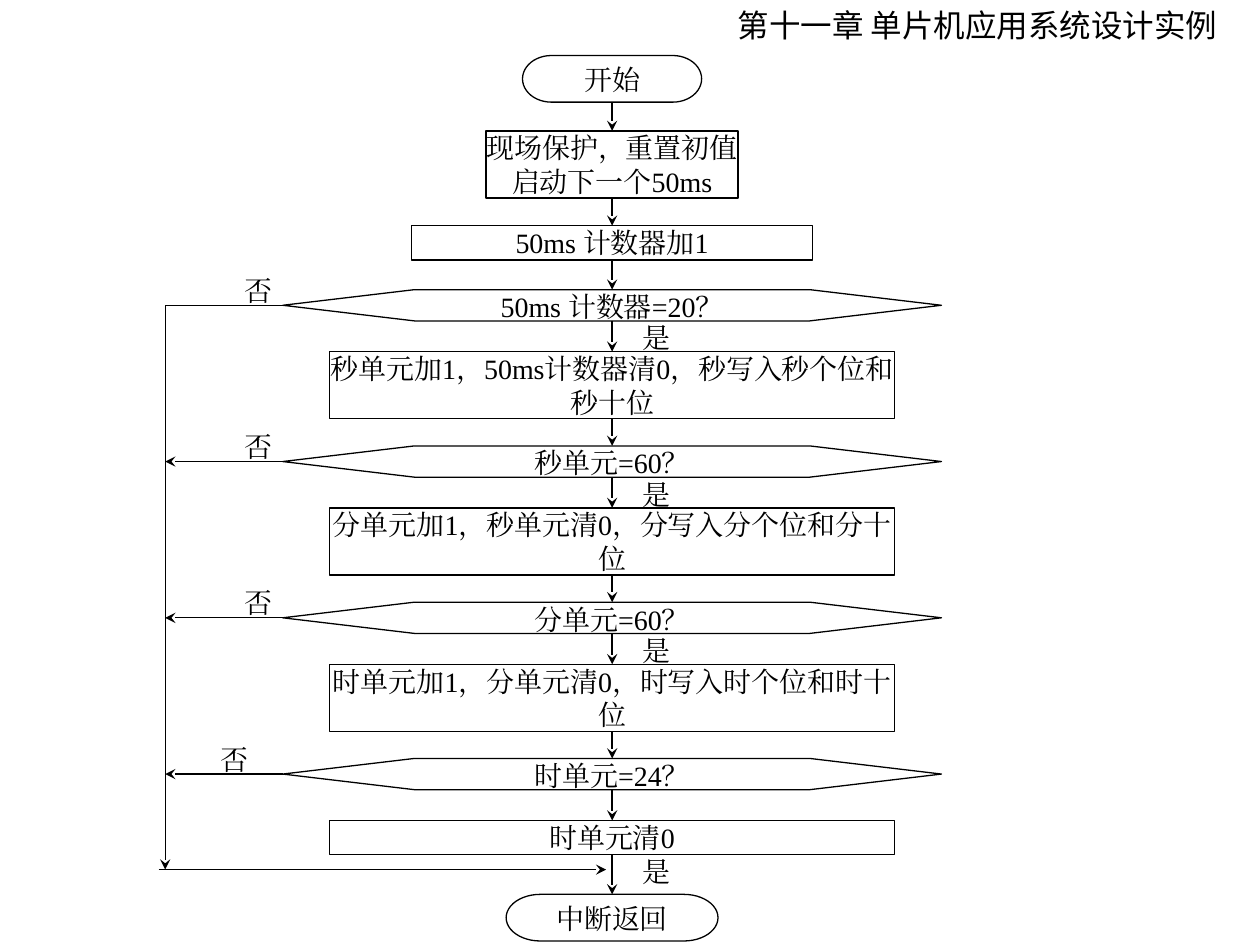
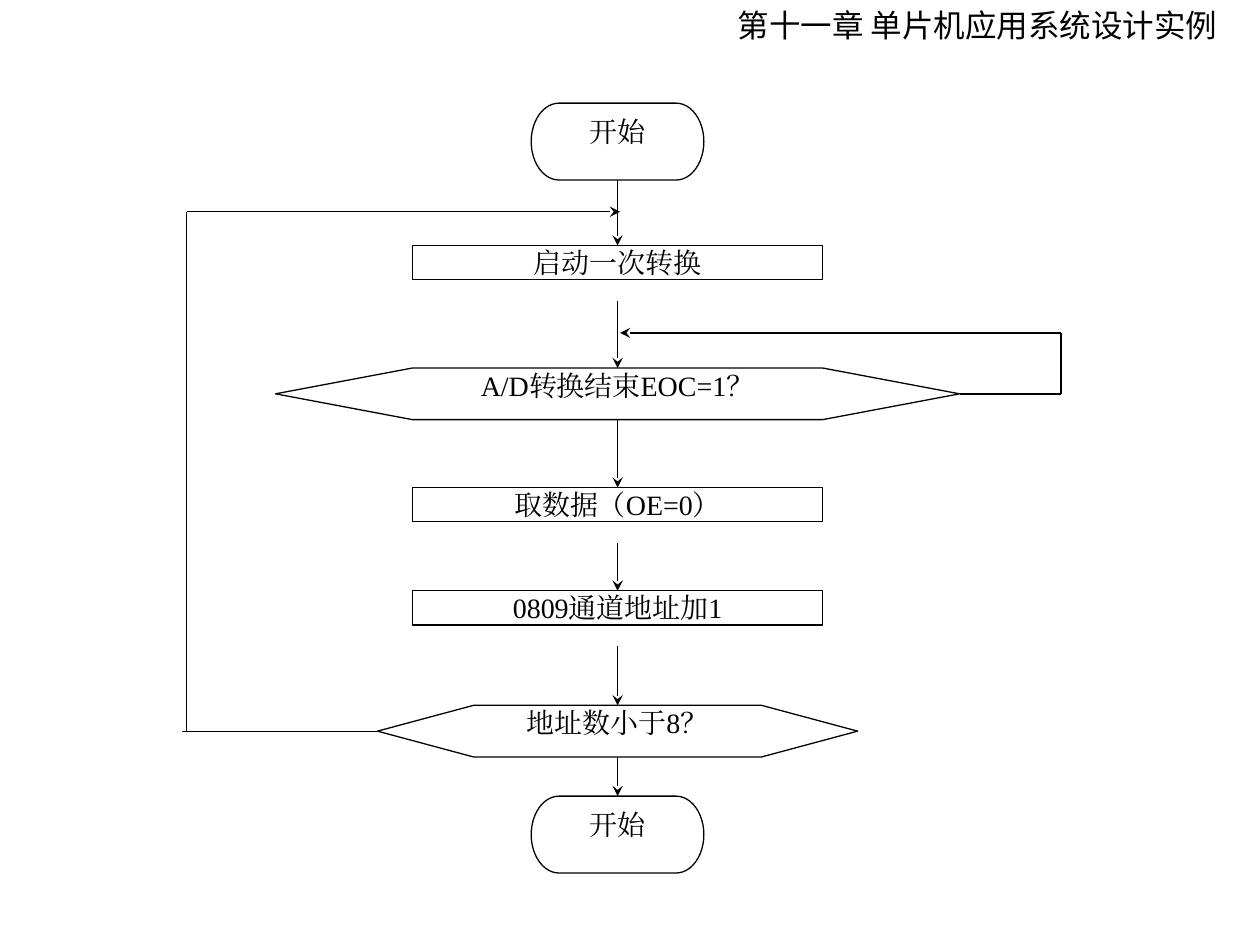
from dataclasses import dataclass

import pptx
import pptx.dml.color
import pptx.enum.shapes
import pptx.enum.text
import pptx.oxml.ns
import pptx.util
from lxml import etree

Cm = pptx.util.Cm
Pt = pptx.util.Pt
SHAPES = pptx.enum.shapes.MSO_SHAPE


@dataclass(frozen=True)
class Theme:
    ink: pptx.dml.color.RGBColor = pptx.dml.color.RGBColor(0, 0, 0)
    paper: pptx.dml.color.RGBColor = pptx.dml.color.RGBColor(255, 255, 255)
    chapter_font: str = "Noto Sans CJK JP"
    flow_font: str = "Times New Roman"
    chapter_size: float = 18
    flow_size: float = 16
    stroke: float = 0.75


@dataclass(frozen=True)
class Box:
    """An area in centimetres."""
    left: float
    top: float
    width: float
    height: float

    @property
    def right(self):
        return self.left + self.width

    @property
    def bottom(self):
        return self.top + self.height

    @property
    def centre(self):
        return self.left + self.width / 2

    @property
    def middle(self):
        return self.top + self.height / 2

    def lengths(self):
        return [Cm(value) for value in
                (self.left, self.top, self.width, self.height)]


THEME = Theme()
CHAPTER = "第十一章 单片机应用系统设计实例"
CHAPTER_BOX = Box(14.5, 0, 10.41, 1.02)
CLOCK_AREA = Box(3.2, 1.12, 15.78, 17.85)
SAMPLING_AREA = Box(3.66, 2.08, 17.73, 15.52)
LINE_HEIGHT = 0.69

CLOCK_STAGES = [
    ("50ms 计数器=20？", "秒单元加1，50ms计数器清0，秒写入秒个位和秒十位"),
    ("秒单元=60？", "分单元加1，秒单元清0，分写入分个位和分十位"),
    ("分单元=60？", "时单元加1，分单元清0，时写入时个位和时十位"),
    ("时单元=24？", "时单元清0"),
]


def write(shape, text, font=THEME.flow_font, size=THEME.flow_size,
          wrap=True, inset=(0, 0)):
    """Set centred text from the top; each line becomes a paragraph."""
    frame = shape.text_frame
    frame.word_wrap = wrap
    frame.vertical_anchor = pptx.enum.text.MSO_ANCHOR.TOP
    frame.margin_left = frame.margin_right = Cm(inset[0])
    frame.margin_top = frame.margin_bottom = Cm(inset[1])
    frame.text = text
    for paragraph in frame.paragraphs:
        paragraph.alignment = pptx.enum.text.PP_ALIGN.CENTER
        for run in paragraph.runs:
            run.font.name = font
            run.font.size = Pt(size)
            run.font.color.rgb = THEME.ink
            east_asian = etree.SubElement(
                run.font._element, pptx.oxml.ns.qn("a:ea"))
            east_asian.set("typeface", font)


def add_text(slide, box, text, **text_format):
    write(slide.shapes.add_textbox(*box.lengths()), text, **text_format)


def add_node(slide, kind, box, text, **text_format):
    node = slide.shapes.add_shape(kind, *box.lengths())
    node.shadow.inherit = False
    node.fill.solid()
    node.fill.fore_color.rgb = THEME.paper
    node.line.color.rgb = THEME.ink
    node.line.width = Pt(THEME.stroke)
    write(node, text, **text_format)
    return box


def add_route(slide, *points, arrow=True):
    """Join the points with straight lines; the last one may end in an arrow."""
    for start, end in zip(points, points[1:]):
        segment = slide.shapes.add_connector(
            pptx.enum.shapes.MSO_CONNECTOR.STRAIGHT,
            *(Cm(value) for value in (*start, *end)))
        segment.line.color.rgb = THEME.ink
        segment.line.width = Pt(THEME.stroke)
        etree.SubElement(segment._element.spPr, pptx.oxml.ns.qn("a:effectLst"))
    if arrow:
        tail = etree.SubElement(
            segment.line._get_or_add_ln(), pptx.oxml.ns.qn("a:tailEnd"))
        tail.set("type", "stealth")


def add_column(slide, area, axis, steps):
    """Stack (kind, top, width, height, text) steps centred on the axis."""
    return [
        add_node(slide, kind,
                 Box(axis - width / 2, area.top + top, width, height), text,
                 wrap="\n" not in text)
        for kind, top, width, height, text in steps
    ]


def add_answer(slide, left, top, text):
    add_text(slide, Box(left, top, 0.56, LINE_HEIGHT), text, wrap=False)


def add_chapter(slide, box):
    add_text(slide, box, CHAPTER, font=THEME.chapter_font,
             size=THEME.chapter_size, inset=(0.25, 0.13))


def draw_clock_interrupt(slide, area):
    axis = area.left + 9.14
    rail = area.left + 0.13
    merge = area.top + 16.41
    pitch = 3.15
    steps = [
        (SHAPES.FLOWCHART_TERMINATOR, 0, 3.61, 0.94, "开始"),
        (SHAPES.FLOWCHART_PROCESS, 1.52, 5.08, 1.35,
         "现场保护，重置初值\n启动下一个50ms"),
        (SHAPES.FLOWCHART_PROCESS, 3.43, 8.08, LINE_HEIGHT, "50ms 计数器加1"),
    ]
    for index, (question, action) in enumerate(CLOCK_STAGES):
        is_last = index == len(CLOCK_STAGES) - 1
        steps += [
            (SHAPES.FLOWCHART_PREPARATION, 4.72 + index * pitch,
             13.28, 0.63, question),
            (SHAPES.FLOWCHART_PROCESS, 5.97 + index * pitch,
             11.38, LINE_HEIGHT if is_last else 1.35, action),
        ]
    steps.append((SHAPES.FLOWCHART_TERMINATOR, 16.91, 4.27, 0.94, "中断返回"))
    nodes = add_column(slide, area, axis, steps)

    for upper, lower in zip(nodes, nodes[1:]):
        add_route(slide, (axis, upper.bottom), (axis, lower.top))

    decisions = nodes[3:-1:2]
    for decision in decisions:
        is_last = decision is decisions[-1]
        exit_points = [(decision.left, decision.middle), (rail, decision.middle)]
        if decision is decisions[0]:
            exit_points.append((rail, merge))
        add_route(slide, *exit_points)
        add_answer(slide, decision.left - (1.25 if is_last else 0.77),
                   decision.top - 0.33, "否")
        add_answer(slide, axis + 0.61,
                   nodes[-2].bottom if is_last else decision.bottom, "是")
    add_route(slide, (area.left, merge), (axis - 0.12, merge))


def draw_sampling_loop(slide, area):
    axis = area.left + 8.79
    rail = area.left + 0.1
    restart = area.top + 2.19
    retry = area.top + 4.63
    nodes = add_column(slide, area, axis, [
        (SHAPES.FLOWCHART_TERMINATOR, 0, 3.48, 1.55, "开始"),
        (SHAPES.FLOWCHART_PROCESS, 2.87, 8.26, LINE_HEIGHT, "启动一次转换"),
        (SHAPES.FLOWCHART_PREPARATION, 5.34, 13.79, 1.04, "A/D转换结束EOC=1？"),
        (SHAPES.FLOWCHART_PROCESS, 7.75, 8.26, LINE_HEIGHT, "取数据（OE=0）"),
        (SHAPES.FLOWCHART_PROCESS, 9.83, 8.26, LINE_HEIGHT, "0809通道地址加1"),
        (SHAPES.FLOWCHART_PREPARATION, 12.14, 9.68, 1.04, "地址数小于8？"),
        (SHAPES.FLOWCHART_TERMINATOR, 13.97, 3.48, 1.55, "开始"),
    ])
    for upper, lower in zip(nodes, nodes[1:]):
        gap = 0.42 if upper.height == LINE_HEIGHT else 0
        add_route(slide, (axis, upper.bottom + gap), (axis, lower.top))

    conversion, address = nodes[2], nodes[5]
    add_route(slide, (conversion.right, conversion.middle),
              (area.right, conversion.middle), (area.right, retry),
              (axis + 0.05, retry))
    add_route(slide, (address.left, address.middle),
              (area.left, address.middle), arrow=False)
    add_route(slide, (rail, address.middle), (rail, restart),
              (axis + 0.05, restart))


def main():
    deck = pptx.Presentation()
    deck.slide_width, deck.slide_height = Cm(25.4), Cm(19.05)
    for draw, area in ((draw_clock_interrupt, CLOCK_AREA),
                       (draw_sampling_loop, SAMPLING_AREA)):
        slide = deck.slides.add_slide(deck.slide_layouts[6])
        add_chapter(slide, CHAPTER_BOX)
        draw(slide, area)
    deck.save("out.pptx")


if __name__ == "__main__":
    main()
